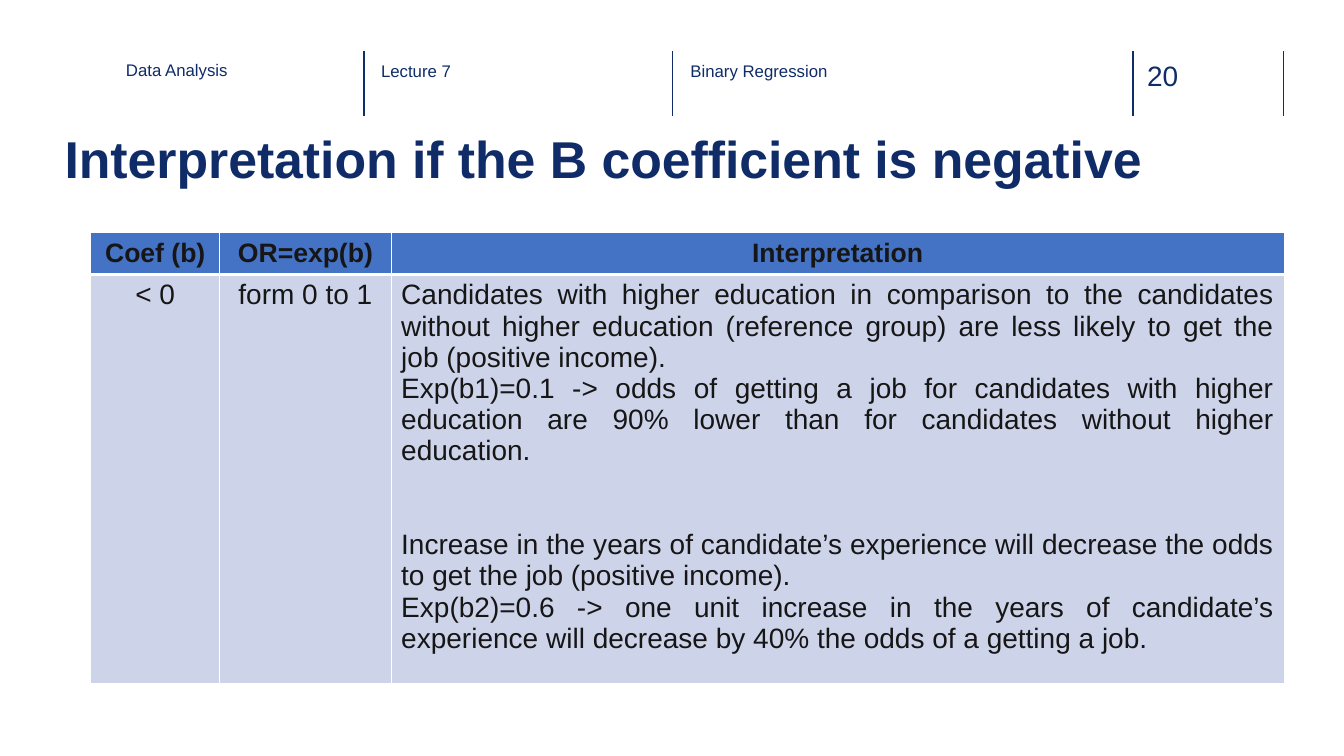
from dataclasses import dataclass

from lxml import etree
from pptx import Presentation
from pptx.dml.color import RGBColor
from pptx.enum.shapes import MSO_CONNECTOR
from pptx.enum.text import MSO_ANCHOR, PP_ALIGN
from pptx.oxml.ns import qn
from pptx.util import Pt

STRAIGHT = MSO_CONNECTOR.STRAIGHT
TOP, MIDDLE = MSO_ANCHOR.TOP, MSO_ANCHOR.MIDDLE
LEFT, CENTER, JUSTIFY = PP_ALIGN.LEFT, PP_ALIGN.CENTER, PP_ALIGN.JUSTIFY

COLORS = {
    "divider": "102D69",
    "heading": "0F2C68",
    "table_text": "171616",
    "header_fill": "4472C4",
    "body_fill": "CDD4EA",
    "border": "FFFFFF",
}
FONT = "Arial"


@dataclass
class Label:
    text: str
    left: float
    top: float
    width: float
    height: float
    size: float
    color: str = "heading"
    bold: bool = False


@dataclass
class RowStyle:
    height: float
    fill: str
    size: float
    bold: bool
    anchor: MSO_ANCHOR
    bottom_border: float


DIVIDER_XS = [259.9, 480.2, 809.3, 916.6]
DIVIDER_TOP, DIVIDER_BOTTOM = 36.7, 82.8

LABELS = [
    Label("20", 819.4, 41.8, 52.6, 24.5, 20, "divider"),
    Label("Data Analysis", 90, 42.5, 159.1, 32.4, 12),
    Label("Lecture 7", 272.2, 43.2, 162.7, 32.4, 12),
    Label("Binary Regression", 493.2, 43.2, 162.7, 32.4, 12),
    Label("Interpretation if the B coefficient is negative",
          46.1, 90.7, 870.5, 61.2, 37, bold=True),
]

TABLE_LEFT, TABLE_TOP = 64.8, 166
COLUMN_WIDTHS = [92.2, 122.4, 637.9]
ROW_STYLES = [
    RowStyle(27.4, "header_fill", 19, True, MIDDLE, 3),
    RowStyle(288, "body_fill", 20, False, TOP, 1),
]
INTERPRETATION = [
    "Candidates with higher education in comparison to the candidates without "
    "higher education (reference group) are less likely to get the job (positive income).",
    "Exp(b1)=0.1 -> odds of getting a job for candidates with higher education "
    "are 90% lower than for candidates without higher education.",
    "Increase in the years of candidate’s experience will decrease the odds "
    "to get the job (positive income).",
    "Exp(b2)=0.6 -> one unit increase in the years of candidate’s experience "
    "will decrease by 40% the odds of a getting a job.",
]
SECOND_EXAMPLE = 2
EXAMPLE_GAP = 44.6
TABLE_ROWS = [
    [["Coef (b)"], ["OR=exp(b)"], ["Interpretation"]],
    [["< 0"], ["form 0 to 1"], INTERPRETATION],
]


def rgb(name: str) -> RGBColor:
    return RGBColor.from_string(COLORS[name])


def write_paragraph(paragraph, text: str, size: float, color: str, bold: bool,
                    alignment: PP_ALIGN) -> None:
    paragraph.alignment = alignment
    run = paragraph.add_run()
    run.text = text
    font_format = {"name": FONT, "size": Pt(size), "bold": bold}
    for attribute, value in font_format.items():
        setattr(run.font, attribute, value)
    run.font.color.rgb = rgb(color)


def add_divider(slide, x: float) -> None:
    line = slide.shapes.add_connector(
        STRAIGHT, Pt(x), Pt(DIVIDER_TOP), Pt(x), Pt(DIVIDER_BOTTOM))
    line.line.color.rgb = rgb("divider")
    line.line.width = Pt(1)
    etree.SubElement(line._element.spPr, qn("a:effectLst"))


def add_label(slide, label: Label) -> None:
    box = slide.shapes.add_textbox(
        Pt(label.left), Pt(label.top), Pt(label.width), Pt(label.height))
    frame = box.text_frame
    frame_format = {"word_wrap": True, "vertical_anchor": TOP, "margin_left": 0,
                    "margin_top": 0, "margin_right": 0, "margin_bottom": 0}
    for attribute, value in frame_format.items():
        setattr(frame, attribute, value)
    write_paragraph(frame.paragraphs[0], label.text, label.size, label.color,
                    label.bold, LEFT)


def add_borders(cell, bottom_width: float) -> None:
    properties = cell._tc.get_or_add_tcPr()
    widths = {"lnL": 1, "lnR": 1, "lnT": 1, "lnB": bottom_width}
    for side, width in widths.items():
        border = etree.SubElement(properties, qn(f"a:{side}"), w=str(Pt(width)))
        fill = etree.SubElement(border, qn("a:solidFill"))
        etree.SubElement(fill, qn("a:srgbClr"), val=COLORS["border"])


def fill_cell(cell, texts: list[str], style: RowStyle) -> None:
    add_borders(cell, style.bottom_border)
    cell.fill.solid()
    cell.fill.fore_color.rgb = rgb(style.fill)
    cell_format = {"vertical_anchor": style.anchor,
                   "margin_left": Pt(7.2), "margin_right": Pt(7.2),
                   "margin_top": Pt(3.6), "margin_bottom": Pt(3.6)}
    for attribute, value in cell_format.items():
        setattr(cell, attribute, value)
    alignment = JUSTIFY if len(texts) > 1 else CENTER
    frame = cell.text_frame
    for index, text in enumerate(texts):
        paragraph = frame.add_paragraph() if index else frame.paragraphs[0]
        write_paragraph(paragraph, text, style.size, "table_text", style.bold, alignment)
        if index == SECOND_EXAMPLE:
            paragraph.space_before = Pt(EXAMPLE_GAP)


def add_interpretation_table(slide) -> None:
    height = sum(style.height for style in ROW_STYLES)
    table = slide.shapes.add_table(
        len(TABLE_ROWS), len(COLUMN_WIDTHS), Pt(TABLE_LEFT), Pt(TABLE_TOP),
        Pt(sum(COLUMN_WIDTHS)), Pt(height)).table
    for column, width in zip(table.columns, COLUMN_WIDTHS):
        column.width = Pt(width)
    for row, style, contents in zip(table.rows, ROW_STYLES, TABLE_ROWS):
        row.height = Pt(style.height)
        for cell, texts in zip(row.cells, contents):
            fill_cell(cell, texts, style)


def main() -> None:
    presentation = Presentation()
    presentation.slide_width, presentation.slide_height = Pt(960), Pt(540)
    slide = presentation.slides.add_slide(presentation.slide_layouts[6])

    # Header strip and title
    for x in DIVIDER_XS:
        add_divider(slide, x)
    for label in LABELS:
        add_label(slide, label)

    # Coefficient table
    add_interpretation_table(slide)

    presentation.save("out.pptx")


if __name__ == "__main__":
    main()
